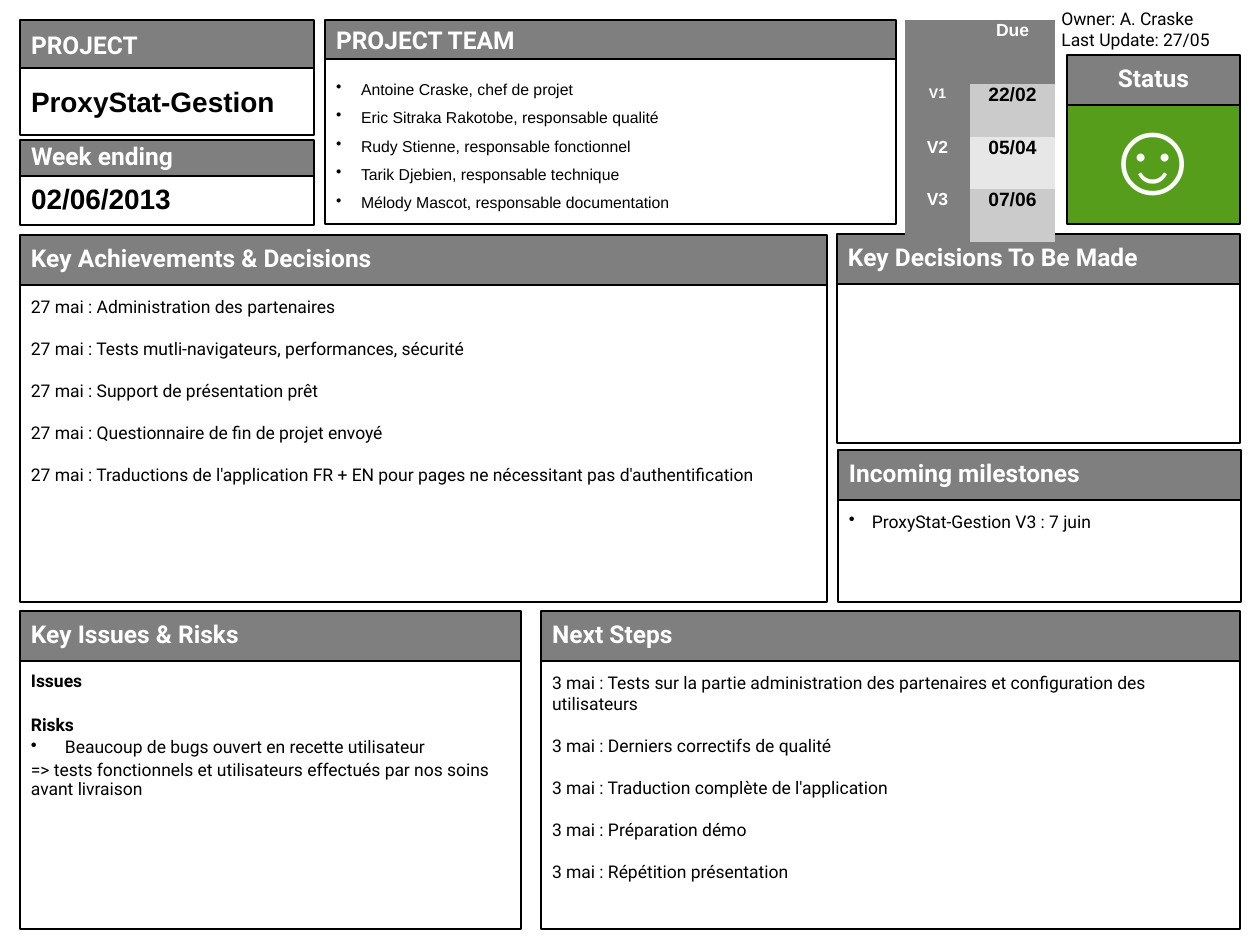
import dataclasses

import lxml.etree
import pptx
import pptx.dml.color
import pptx.enum.shapes
import pptx.enum.text
import pptx.oxml.ns
import pptx.util

PX = pptx.util.Inches(1) / 126
ALIGN = pptx.enum.text.PP_ALIGN
ANCHOR = pptx.enum.text.MSO_ANCHOR


@dataclasses.dataclass(frozen=True)
class Theme:
    black: str = "000000"
    white: str = "FFFFFF"
    gray: str = "7F7F7F"
    green: str = "579D1C"
    dark_row: str = "CBCBCB"
    light_row: str = "E7E7E7"
    plain: str = "Arial"
    display: str = "Roboto"
    heading: int = 14
    value: int = 16
    body: int = 10
    team: int = 9
    date: int = 11
    small: int = 8
    face: int = 60


theme = Theme()
rgb = pptx.dml.color.RGBColor.from_string


def write(frame, lines, size, font=theme.display, color=theme.black, bold=False,
          align=ALIGN.LEFT, spacing=1.0, before=0, indent=0):
    """Fill a text frame; an indent above zero makes bulleted paragraphs."""
    for number, line in enumerate(lines):
        para = frame.paragraphs[0] if number == 0 else frame.add_paragraph()
        para.alignment = align
        para.line_spacing = spacing
        if number:
            para.space_before = pptx.util.Pt(before)
        if indent:
            properties = para._p.get_or_add_pPr()
            properties.set("marL", str(round(indent * PX)))
            properties.set("indent", str(round(-indent * PX)))
            bullet = lxml.etree.SubElement(properties, pptx.oxml.ns.qn("a:buChar"))
            bullet.set("char", "•")
        span = para.add_run()
        span.text = line
        span.font.size = pptx.util.Pt(size)
        span.font.name = font
        span.font.bold = bold
        span.font.color.rgb = rgb(color)


def add_box(left, top, width, height, fill, anchor=ANCHOR.MIDDLE, inset_top=6, line=1):
    """Draw an outlined rectangle and return its text frame."""
    box = slide.shapes.add_shape(pptx.enum.shapes.MSO_SHAPE.RECTANGLE,
                                 *(round(n * PX) for n in (left, top, width, height)))
    box.shadow.inherit = False
    box.fill.solid()
    box.fill.fore_color.rgb = rgb(fill)
    box.line.color.rgb = rgb(theme.black)
    box.line.width = pptx.util.Pt(line)
    frame = box.text_frame
    frame.word_wrap = True
    frame.vertical_anchor = anchor
    frame.margin_left = frame.margin_right = round(11 * PX)
    frame.margin_top = round(inset_top * PX)
    frame.margin_bottom = round(6 * PX)
    return frame


deck = pptx.Presentation()
deck.slide_width = round(1260 * PX)
deck.slide_height = round(945 * PX)
slide = deck.slides.add_slide(deck.slide_layouts[6])

# Small panels: title, top, header height, header inset, value, body height, spacing
for title, top, header, inset, value, height, spacing in (
    ("PROJECT", 20, 48, 11, "ProxyStat-Gestion", 67, 1.0),
    ("Week ending", 140, 36, 6, "02/06/2013", 49, 0.9),
):
    frame = add_box(20, top + header, 294, height, theme.white)
    write(frame, [value], theme.value, theme.plain, bold=True, spacing=spacing)
    frame = add_box(20, top, 294, header, theme.gray, inset_top=inset)
    write(frame, [title], theme.heading, color=theme.white, bold=True, spacing=0.9)

# Project team
team = add_box(325, 59, 571, 165, theme.white, ANCHOR.TOP, 11)
write(team, [
    "Antoine Craske, chef de projet",
    "Eric Sitraka Rakotobe, responsable qualité",
    "Rudy Stienne, responsable fonctionnel",
    "Tarik Djebien, responsable technique",
    "Mélody Mascot, responsable documentation",
], theme.team, theme.plain, spacing=1.5, indent=25)
team_header = add_box(325, 20, 571, 39, theme.gray, inset_top=11)
write(team_header, ["PROJECT TEAM"], theme.heading, color=theme.white, bold=True, spacing=0.9)

# Large panels: title, left, top, width, body height, body lines, bullet indent
HEADER = 50
for title, left, top, width, height, lines, indent in (
    ("Key Achievements & Decisions", 20, 235, 807, 317, [
        "27 mai : Administration des partenaires",
        "27 mai : Tests mutli-navigateurs, performances, sécurité",
        "27 mai : Support de présentation prêt",
        "27 mai : Questionnaire de fin de projet envoyé",
        "27 mai : Traductions de l'application FR + EN pour pages ne nécessitant pas "
        "d'authentification",
    ], 0),
    ("Key Decisions To Be Made", 837, 234, 403, 159, [], 0),
    ("Incoming milestones", 838, 450, 403, 102, ["ProxyStat-Gestion V3 : 7 juin"], 23),
    ("Next Steps", 541, 611, 699, 268, [
        "3 mai : Tests sur la partie administration des partenaires et configuration des "
        "utilisateurs",
        "3 mai : Derniers correctifs de qualité",
        "3 mai : Traduction complète de l'application",
        "3 mai : Préparation démo",
        "3 mai : Répétition présentation",
    ], 0),
    ("Key Issues & Risks", 20, 611, 501, 268, [], 0),
):
    frame = add_box(left, top + HEADER, width, height, theme.white, ANCHOR.TOP, 11)
    write(frame, lines, theme.body, before=12, indent=indent)
    header = add_box(left, top, width, HEADER, theme.gray)
    write(header, [title], theme.heading, color=theme.white, bold=True, spacing=0.9)

# Issues and risks text, in the last panel
write(frame, ["Issues", "Risks"], theme.body, bold=True, spacing=0.9, before=14.5)
for line, indent in (
    ("Beaucoup de bugs ouvert en recette utilisateur", 34),
    ("=> tests fonctionnels et utilisateurs effectués par nos soins avant livraison", 0),
):
    para = frame.add_paragraph()
    para.line_spacing = 0.9
    para.space_before = pptx.util.Pt(2)
    para.alignment = ALIGN.LEFT
    if indent:
        properties = para._p.get_or_add_pPr()
        properties.set("marL", str(round(indent * PX)))
        properties.set("indent", str(round(-indent * PX)))
        lxml.etree.SubElement(properties, pptx.oxml.ns.qn("a:buChar")).set("char", "•")
    span = para.add_run()
    span.text = line
    span.font.size = pptx.util.Pt(theme.body)
    span.font.name = theme.display
    span.font.color.rgb = rgb(theme.black)

# Due dates, in a table style without borders
table = slide.shapes.add_table(4, 2, *(round(n * PX) for n in (905, 20, 150, 222))).table
style = table._tbl.tblPr.find(pptx.oxml.ns.qn("a:tableStyleId"))
style.text = "{2D5ABB26-0587-4C30-8999-92F81FD0307C}"
for column, width in zip(table.columns, (65, 85)):
    column.width = round(width * PX)
for row, height in zip(table.rows, (64, 53, 52, 53)):
    row.height = round(height * PX)
for row, (version, version_size, due, due_size, color, fill) in enumerate((
    ("", theme.body, "Due", theme.body, theme.white, theme.gray),
    ("V1", theme.small, "22/02", theme.date, theme.black, theme.dark_row),
    ("V2", theme.body, "05/04", theme.date, theme.black, theme.light_row),
    ("V3", theme.body, "07/06", theme.date, theme.black, theme.dark_row),
)):
    for column, (text, size, ink, back, inset) in enumerate((
        (version, version_size, theme.white, theme.gray, 5),
        (due, due_size, color, fill, 14),
    )):
        cell = table.cell(row, column)
        cell.fill.solid()
        cell.fill.fore_color.rgb = rgb(back)
        cell.margin_left = cell.margin_right = round(inset * PX)
        cell.margin_top = cell.margin_bottom = round(6 * PX)
        if text:
            write(cell.text_frame, [text], size, theme.plain, ink, True, ALIGN.CENTER, 0.66)

# Status
face = add_box(1067, 105, 173, 119, theme.green, line=0.75)
write(face, ["☺"], theme.face, theme.plain, theme.white, align=ALIGN.CENTER, spacing=0.8)
status = add_box(1067, 55, 173, 50, theme.gray)
write(status, ["Status"], theme.heading, color=theme.white, bold=True,
      align=ALIGN.CENTER, spacing=0.9)

# Owner and last update
owner = slide.shapes.add_textbox(*(round(n * PX) for n in (1049, 2, 190, 55))).text_frame
owner.word_wrap = True
write(owner, ["Owner: A. Craske", "Last Update: 27/05"], theme.body)

deck.save("out.pptx")
